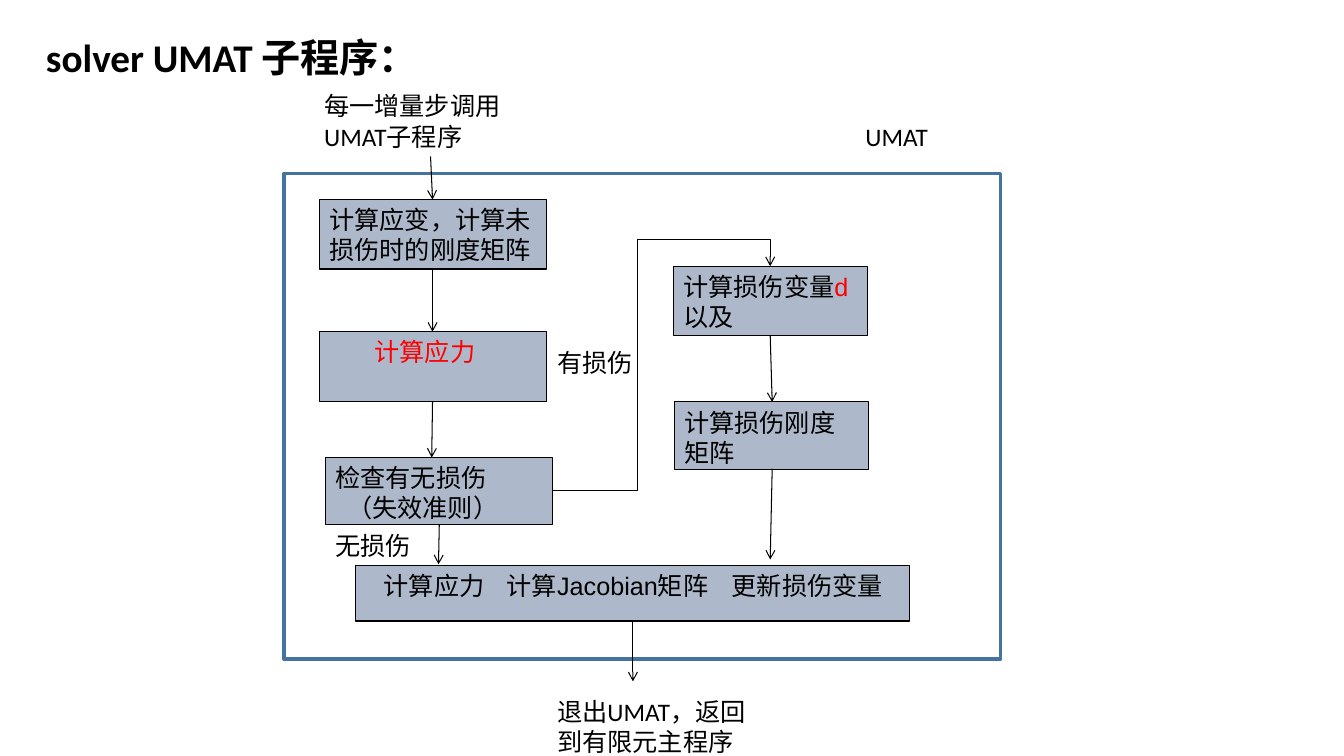
from typing import NamedTuple

from lxml import etree
from pptx import Presentation
from pptx.dml.color import RGBColor
from pptx.enum.shapes import MSO_CONNECTOR, MSO_SHAPE
from pptx.enum.text import MSO_ANCHOR, PP_ALIGN
from pptx.oxml.ns import qn
from pptx.util import Cm, Pt

RECTANGLE = MSO_SHAPE.RECTANGLE
STRAIGHT, ELBOW = MSO_CONNECTOR.STRAIGHT, MSO_CONNECTOR.ELBOW
TOP, LEFT = MSO_ANCHOR.TOP, PP_ALIGN.LEFT

BLACK = RGBColor(0x00, 0x00, 0x00)
RED = RGBColor(0xFF, 0x00, 0x00)
STEP_FILL = RGBColor(0xAD, 0xB9, 0xCA)
FRAME_BLUE = RGBColor(0x43, 0x73, 0x9E)


class Area(NamedTuple):
    left: float
    top: float
    width: float
    height: float


class Piece(NamedTuple):
    text: str
    color: RGBColor = BLACK


class Line(NamedTuple):
    pieces: tuple[Piece, ...]
    indent: float = 0
    tabs: tuple[float, ...] = ()


class Step(NamedTuple):
    area: Area
    lines: tuple[Line, ...]
    inset: float = 0.25


class Label(NamedTuple):
    area: Area
    text: str
    size: int = 18
    bold: bool = False


class Arrow(NamedTuple):
    start: tuple[float, float]
    end: tuple[float, float]


FRAME = Area(7.16, 4.37, 18.06, 12.24)

STEPS = (
    Step(Area(8.05, 5.03, 5.72, 1.75), (Line((Piece("计算应变，计算未损伤时的刚度矩阵"),)),)),
    Step(Area(8.05, 8.36, 5.72, 1.75), (Line((Piece("计算应力", RED),)),), inset=1.39),
    Step(
        Area(8.2, 11.53, 5.72, 1.7),
        (Line((Piece("检查有无损伤"),)), Line((Piece("（失效准则）"),), indent=0.3)),
    ),
    Step(
        Area(16.97, 6.71, 4.9, 1.75),
        (Line((Piece("计算损伤变量"), Piece("d", RED), Piece("以及"))),),
    ),
    Step(Area(16.99, 10.13, 4.9, 1.7), (Line((Piece("计算损伤刚度矩阵"),)),)),
    Step(
        Area(8.97, 14.25, 13.94, 1.4),
        (Line((Piece("计算应力\t计算Jacobian矩阵\t更新损伤变量"),), tabs=(3.1, 8.77)),),
        inset=0.7,
    ),
)

LABELS = (
    Label(Area(0.91, 0.71, 14.86, 1.45), "solver UMAT 子程序：", size=28, bold=True),
    Label(Area(7.92, 2.16, 5.84, 1.78), "每一增量步调用UMAT子程序"),
    Label(Area(21.56, 2.92, 2.36, 1.02), "UMAT"),
    Label(Area(13.79, 8.64, 3.2, 1.02), "有损伤"),
    Label(Area(8.2, 13.23, 2.69, 1.02), "无损伤"),
    Label(Area(13.79, 17.42, 5.66, 1.78), "退出UMAT，返回到有限元主程序"),
)

ARROWS = (
    Arrow((10.85, 3.94), (10.9, 5.03)),
    Arrow((10.9, 6.78), (10.9, 8.36)),
    Arrow((10.9, 10.13), (10.88, 11.53)),
    Arrow((11.07, 13.23), (11.05, 14.22)),
    Arrow((19.41, 8.46), (19.46, 10.13)),
    Arrow((19.46, 11.81), (19.41, 14.1)),
    Arrow((15.95, 15.65), (15.95, 17.17)),
)

DAMAGE_BRANCH = Arrow((13.92, 12.37), (19.41, 6.71))
BRANCH_BENDS = {"adj1": 39300, "adj2": 111700}


def format_run(run, font_name: str, size: int, color: RGBColor, bold: bool = False) -> None:
    run.font.name = font_name
    run.font.size = Pt(size)
    run.font.color.rgb = color
    run.font.bold = bold


def set_indent(paragraph, line: Line) -> None:
    """Set the left margin and the tab stops of a paragraph."""
    properties = paragraph._p.get_or_add_pPr()
    if line.indent:
        properties.set("marL", str(Cm(line.indent)))
    if line.tabs:
        tab_list = etree.SubElement(properties, qn("a:tabLst"))
        for position in line.tabs:
            etree.SubElement(tab_list, qn("a:tab"), pos=str(Cm(position)), algn="l")


def add_rectangle(slide, area: Area, line_color: RGBColor, line_width: float):
    shape = slide.shapes.add_shape(RECTANGLE, *map(Cm, area))
    shape.shadow.inherit = False
    shape.line.color.rgb = line_color
    shape.line.width = Pt(line_width)
    return shape


def add_frame(slide, area: Area) -> None:
    add_rectangle(slide, area, FRAME_BLUE, 2.5).fill.background()


def add_step(slide, step: Step) -> None:
    shape = add_rectangle(slide, step.area, BLACK, 0.75)
    shape.fill.solid()
    shape.fill.fore_color.rgb = STEP_FILL
    text_frame = shape.text_frame
    text_frame.word_wrap = True
    text_frame.vertical_anchor = TOP
    text_frame.margin_left = Cm(step.inset)
    for index, line in enumerate(step.lines):
        paragraph = text_frame.add_paragraph() if index else text_frame.paragraphs[0]
        paragraph.alignment = LEFT
        set_indent(paragraph, line)
        for piece in line.pieces:
            run = paragraph.add_run()
            run.text = piece.text
            format_run(run, "Arial", 18, piece.color)


def add_label(slide, label: Label) -> None:
    text_frame = slide.shapes.add_textbox(*map(Cm, label.area)).text_frame
    text_frame.word_wrap = True
    text_frame.text = label.text
    format_run(text_frame.paragraphs[0].runs[0], "Calibri", label.size, BLACK, label.bold)


def add_arrow(slide, arrow: Arrow, kind=STRAIGHT):
    connector = slide.shapes.add_connector(kind, *map(Cm, arrow.start + arrow.end))
    connector.line.color.rgb = BLACK
    connector.line.width = Pt(0.75)
    etree.SubElement(connector.line._get_or_add_ln(), qn("a:tailEnd"), type="arrow")
    etree.SubElement(connector._element.spPr, qn("a:effectLst"))
    return connector


def add_branch(slide, arrow: Arrow, bends: dict[str, int]) -> None:
    """Draw an elbow arrow with three bends, passing above its end."""
    connector = add_arrow(slide, arrow, ELBOW)
    geometry = connector._element.spPr.find(qn("a:prstGeom"))
    geometry.set("prst", "bentConnector4")
    adjustments = geometry.find(qn("a:avLst"))
    for name, value in bends.items():
        etree.SubElement(adjustments, qn("a:gd"), name=name, fmla=f"val {value}")


def main() -> None:
    presentation = Presentation()
    presentation.slide_width = Cm(33.87)
    presentation.slide_height = Cm(19.05)
    slide = presentation.slides.add_slide(presentation.slide_layouts[6])
    add_frame(slide, FRAME)
    for step in STEPS:
        add_step(slide, step)
    for label in LABELS:
        add_label(slide, label)
    for arrow in ARROWS:
        add_arrow(slide, arrow)
    add_branch(slide, DAMAGE_BRANCH, BRANCH_BENDS)
    presentation.save("out.pptx")


if __name__ == "__main__":
    main()
